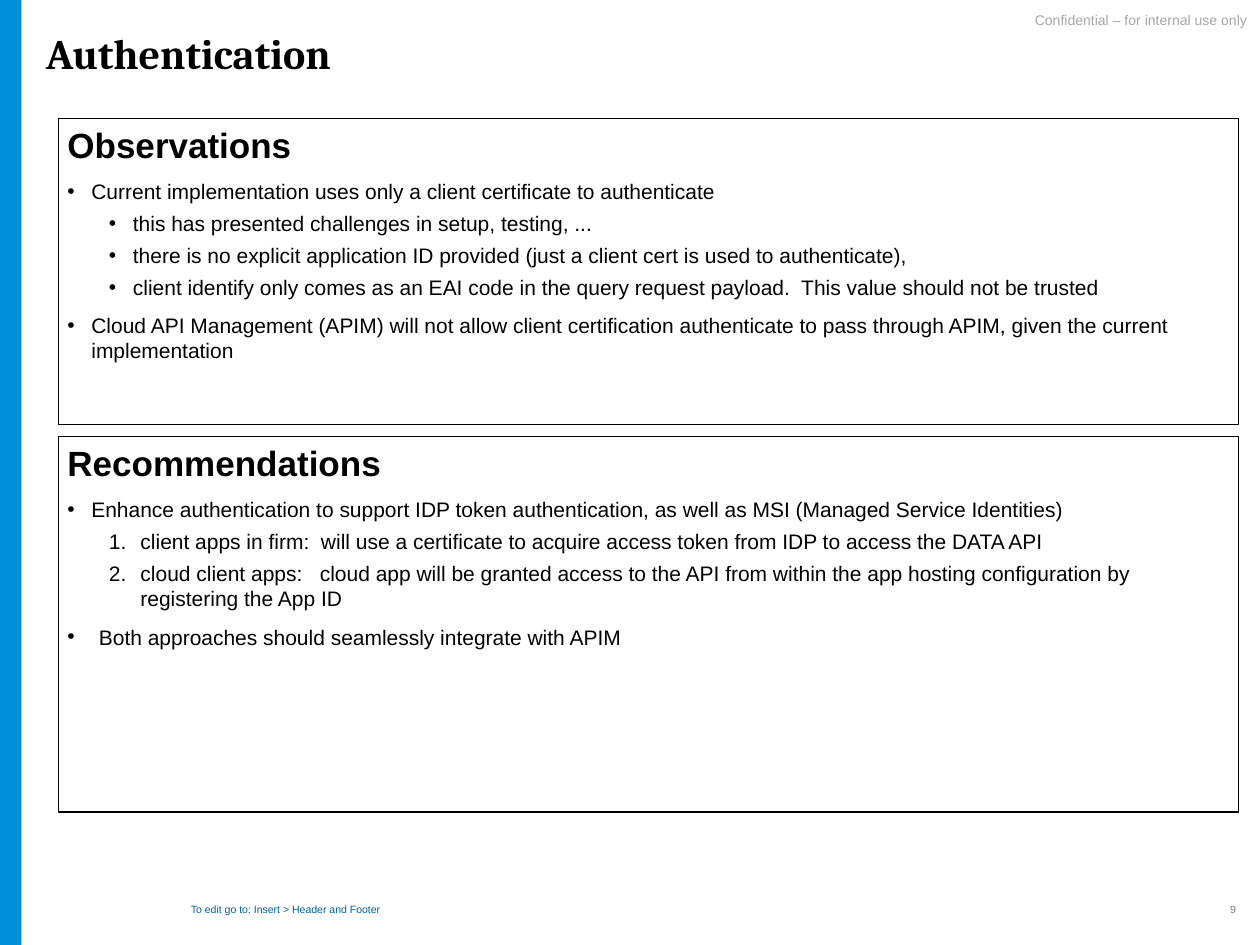
from dataclasses import dataclass

from lxml import etree
from pptx import Presentation
from pptx.dml.color import RGBColor
from pptx.enum.shapes import MSO_SHAPE
from pptx.enum.text import MSO_ANCHOR, MSO_AUTO_SIZE, PP_ALIGN
from pptx.oxml.ns import qn
from pptx.util import Inches, Pt

BLACK = RGBColor(0x00, 0x00, 0x00)
ACCENT_BLUE = RGBColor(0x00, 0x90, 0xDA)
FOOTER_BLUE = RGBColor(0x00, 0x61, 0xA0)
LIGHT_GRAY = RGBColor(0xA6, 0xA6, 0xA6)
NUMBER_GRAY = RGBColor(0x75, 0x78, 0x7B)

RECTANGLE = MSO_SHAPE.RECTANGLE
TOP, MIDDLE = MSO_ANCHOR.TOP, MSO_ANCHOR.MIDDLE
LEFT, RIGHT = PP_ALIGN.LEFT, PP_ALIGN.RIGHT

SLIDE_WIDTH, SLIDE_HEIGHT = Inches(10), Inches(7.5)
COLUMNS, ROWS = 100, 75
PANEL_LEFT, PANEL_WIDTH = 4.65, 93.65


@dataclass(frozen=True)
class Area:
    """A rectangle in columns and rows of the slide grid."""
    column: float
    row: float
    columns: float
    rows: float

    def emu(self) -> tuple[int, int, int, int]:
        col, row = SLIDE_WIDTH / COLUMNS, SLIDE_HEIGHT / ROWS
        return (round(self.column * col), round(self.row * row),
                round(self.columns * col), round(self.rows * row))


@dataclass(frozen=True)
class Style:
    size: float
    color: RGBColor = BLACK
    bold: bool = False
    font: str = "Arial"


@dataclass(frozen=True)
class Marginal:
    """A short line at the edge of the slide."""
    text: str
    area: Area
    style: Style
    align: PP_ALIGN = LEFT
    anchor: MSO_ANCHOR = MIDDLE
    side_inset: float = 0.07
    edge_inset: float = 0.04


@dataclass(frozen=True)
class Item:
    text: str
    indent: float = 0.19
    hanging: float = 0.19
    level: int = 0
    numbered: bool = False


@dataclass(frozen=True)
class Panel:
    heading: str
    row: float
    rows: float
    items: tuple[Item, ...]


def sub_item(text: str) -> Item:
    return Item(text, indent=0.52, level=1)


def step(text: str) -> Item:
    return Item(text, indent=0.58, hanging=0.25, level=1, numbered=True)


HEADING = Style(20, bold=True)
BODY = Style(12)
TITLE = Style(24, bold=True, font="Cambria")

MARGINALS = (
    Marginal("Confidential – for internal use only", Area(69.4, 1.1, 30.6, 2.3),
             Style(8, LIGHT_GRAY), RIGHT, TOP, 0.1, 0),
    Marginal("9", Area(91.4, 70.2, 7.4, 4), Style(6, NUMBER_GRAY), RIGHT),
    Marginal("To edit go to: Insert > Header and Footer",
             Area(14.45, 71.4, 33.8, 1.6), Style(6, FOOTER_BLUE)),
)

PANELS = (
    Panel("Observations", 9.4, 24.3, (
        Item("Current implementation uses only a client certificate to authenticate"),
        sub_item("this has presented challenges in setup, testing, ..."),
        sub_item("there is no explicit application ID provided "
                 "(just a client cert is used to authenticate),"),
        sub_item("client identify only comes as an EAI code in the query request payload.  "
                 "This value should not be trusted"),
        Item("Cloud API Management (APIM) will not allow client certification authenticate "
             "to pass through APIM, given the current implementation"),
    )),
    Panel("Recommendations", 34.65, 29.8, (
        Item("Enhance authentication to support IDP token authentication, "
             "as well as MSI (Managed Service Identities)"),
        step("client apps in firm:  will use a certificate to acquire access token "
             "from IDP to access the DATA API"),
        step("cloud client apps:   cloud app will be granted access to the API from within "
             "the app hosting configuration by registering the App ID"),
        Item("Both approaches should seamlessly integrate with APIM",
             indent=0.25, hanging=0.25),
    )),
)


def prepare_frame(frame, anchor=TOP, side: float = 0.07, edge: float = 0.04) -> None:
    frame.word_wrap = True
    frame.auto_size = MSO_AUTO_SIZE.NONE
    frame.vertical_anchor = anchor
    frame.margin_left = frame.margin_right = Inches(side)
    frame.margin_top = frame.margin_bottom = Inches(edge)


def write(paragraph, text: str, style: Style, align=LEFT) -> None:
    paragraph.text = text
    paragraph.alignment = align
    for run in paragraph.runs:
        run.font.name = style.font
        run.font.size = Pt(style.size)
        run.font.bold = style.bold
        run.font.color.rgb = style.color


def add_marker(paragraph, item: Item) -> None:
    """Give a list item its indent and its bullet or number."""
    properties = paragraph._p.get_or_add_pPr()
    properties.set("marL", str(Inches(item.indent)))
    properties.set("indent", str(-Inches(item.hanging)))
    font = etree.SubElement(properties, qn("a:buFont"))
    font.set("typeface", "Arial")
    if item.numbered:
        etree.SubElement(properties, qn("a:buAutoNum")).set("type", "arabicPeriod")
    else:
        etree.SubElement(properties, qn("a:buChar")).set("char", "•")


def draw_title(slide, text: str) -> None:
    title = slide.shapes.title
    title.left, title.top, title.width, title.height = Area(2.95, 2.2, 86.5, 4.9).emu()
    prepare_frame(title.text_frame)
    paragraph = title.text_frame.paragraphs[0]
    write(paragraph, text, TITLE)
    paragraph.line_spacing = 0.9


def draw_side_bar(slide) -> None:
    bar = slide.shapes.add_shape(RECTANGLE, *Area(0, 0, 1.7, ROWS).emu())
    bar.shadow.inherit = False
    bar.fill.solid()
    bar.fill.fore_color.rgb = ACCENT_BLUE
    bar.line.fill.background()


def draw_marginal(slide, marginal: Marginal) -> None:
    frame = slide.shapes.add_textbox(*marginal.area.emu()).text_frame
    prepare_frame(frame, marginal.anchor, marginal.side_inset, marginal.edge_inset)
    write(frame.paragraphs[0], marginal.text, marginal.style, marginal.align)
    if marginal.anchor == TOP:
        frame.paragraphs[0].line_spacing = 0.9


def draw_panel(slide, panel: Panel) -> None:
    area = Area(PANEL_LEFT, panel.row, PANEL_WIDTH, panel.rows)
    box = slide.shapes.add_shape(RECTANGLE, *area.emu())
    box.shadow.inherit = False
    box.fill.background()
    box.line.color.rgb = BLACK
    box.line.width = Pt(0.75)
    frame = box.text_frame
    prepare_frame(frame)
    write(frame.paragraphs[0], panel.heading, HEADING)
    frame.paragraphs[0].space_before = Pt(7.5)
    for item in panel.items:
        paragraph = frame.add_paragraph()
        write(paragraph, item.text, BODY)
        paragraph.level = item.level
        paragraph.space_before = Pt(3.8 if item.level else 7.5)
        add_marker(paragraph, item)


def main() -> None:
    deck = Presentation()
    deck.slide_width, deck.slide_height = SLIDE_WIDTH, SLIDE_HEIGHT
    slide = deck.slides.add_slide(deck.slide_layouts.get_by_name("Title Only"))
    draw_side_bar(slide)
    draw_title(slide, "Authentication")
    for marginal in MARGINALS:
        draw_marginal(slide, marginal)
    for panel in PANELS:
        draw_panel(slide, panel)
    deck.save("out.pptx")


if __name__ == "__main__":
    main()
